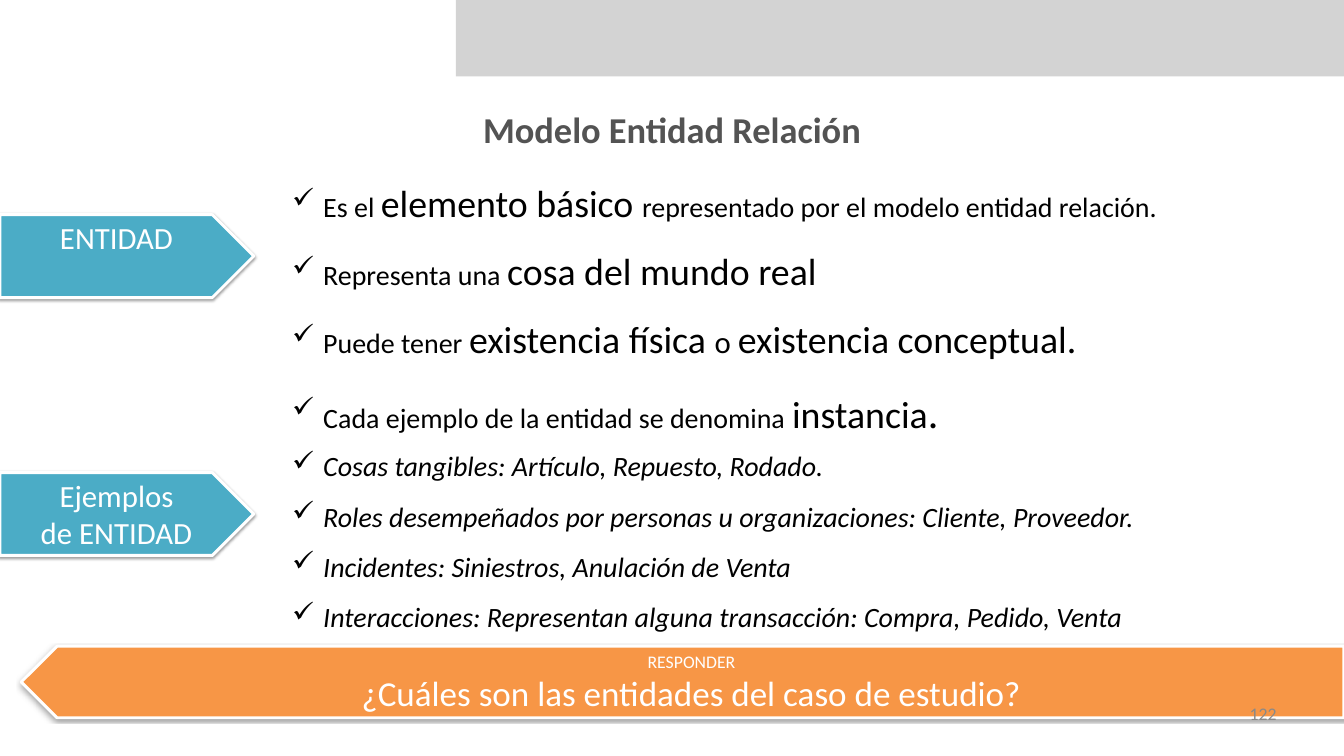
from lxml.etree import SubElement
from pptx import Presentation
from pptx.dml.color import RGBColor
from pptx.enum.shapes import MSO_SHAPE
from pptx.enum.text import MSO_ANCHOR, PP_ALIGN
from pptx.oxml.ns import qn
from pptx.util import Inches, Pt

COLORS = {
    "band": "D3D3D3",
    "title": "535353",
    "text": "000000",
    "label": "4BACC6",
    "question": "F79646",
    "white": "FFFFFF",
    "number": "898989",
}
BODY, KEY, LABEL, QUESTION = 28.4, 38.4, 31.3, 35.6
FONT = "Calibri"


class SlideBuilder:
    def __init__(self, slide):
        self.s = slide

    def color(self, name):
        return RGBColor.from_string(COLORS[name])

    def fill_text(self, sp, paragraphs, color, align, anchor=MSO_ANCHOR.MIDDLE,
                  inset=0.06, bullets=False, **style):
        tf = sp.text_frame
        margin = Inches(inset)
        frame = {"word_wrap": True, "vertical_anchor": anchor,
                 "margin_left": margin, "margin_right": margin,
                 "margin_top": margin, "margin_bottom": margin}
        for name, value in frame.items():
            setattr(tf, name, value)
        for i, runs in enumerate(paragraphs):
            p = tf.add_paragraph() if i else tf.paragraphs[0]
            p.alignment = align
            if bullets:
                self.bullet(p)
            for text, size in runs:
                r = p.add_run()
                r.text = text
                font = {"name": FONT, "size": Pt(size), **style}
                for name, value in font.items():
                    setattr(r.font, name, value)
                r.font.color.rgb = self.color(color)

    def bullet(self, p):
        pPr = p._p.get_or_add_pPr()
        indent = Inches(0.44)
        pPr.set("marL", str(indent))
        pPr.set("indent", str(-indent))
        SubElement(pPr, qn("a:buChar"), char="✓")
        p.line_spacing = 1.5

    def text(self, box, paragraphs, color="text", align=PP_ALIGN.LEFT, **fmt):
        sp = self.s.shapes.add_textbox(*map(Inches, box))
        self.fill_text(sp, paragraphs, color, align, **fmt)

    def shape(self, kind, box, fill):
        sp = self.s.shapes.add_shape(kind, *map(Inches, box))
        sp.shadow.inherit = False
        sp.fill.solid()
        sp.fill.fore_color.rgb = self.color(fill)
        sp.line.fill.background()
        return sp

    def arrow(self, box, paragraphs, fill, flip=False, **fmt):
        sp = self.shape(MSO_SHAPE.PENTAGON, box, fill)
        sp.line.color.rgb = self.color("white")
        sp.line.width = Pt(3)
        spPr = sp.element.spPr
        if flip:
            spPr.find(qn("a:xfrm")).set("flipH", "1")
        shadow = SubElement(spPr.find(qn("a:effectLst")), qn("a:outerShdw"),
                            blurRad=str(Pt(3.1)), dist=str(Pt(1.6)),
                            dir="5400000", rotWithShape="0")
        black = SubElement(shadow, qn("a:srgbClr"), val=COLORS["text"])
        SubElement(black, qn("a:alpha"), val="38000")
        self.fill_text(sp, paragraphs, "white", PP_ALIGN.CENTER, **fmt)


def main():
    prs = Presentation()
    prs.slide_width, prs.slide_height = Inches(18.96), Inches(10.67)
    s = SlideBuilder(prs.slides.add_slide(prs.slide_layouts[6]))

    s.shape(MSO_SHAPE.RECTANGLE, (6.43, 0, 12.53, 1.08), "band")
    s.text((3.76, 1.45, 11.44, 0.73), [[("Modelo Entidad Relación", 37)]],
           "title", PP_ALIGN.CENTER, bold=True)

    definition = [
        [("Es el ", BODY), ("elemento básico ", KEY),
         ("representado por el modelo entidad relación.", BODY)],
        [("Representa una ", BODY), ("cosa del mundo real", KEY)],
        [("Puede tener ", BODY), ("existencia física ", KEY),
         ("o ", LABEL), ("existencia conceptual.", KEY)],
        [("Cada ejemplo de la entidad se denomina ", BODY),
         ("instancia", KEY), (".", 42.7)],
    ]
    s.text((4.06, 2.14, 14.47, 4.1), definition, bullets=True)

    examples = [
        "Cosas tangibles: Artículo, Repuesto, Rodado.",
        "Roles desempeñados por personas u organizaciones: Cliente, Proveedor.",
        "Incidentes: Siniestros, Anulación de Venta",
        "Interacciones: Representan alguna transacción: Compra, Pedido, Venta",
    ]
    s.text((4.06, 6.04, 13.51, 3.58), [[(t, BODY)] for t in examples],
           anchor=MSO_ANCHOR.TOP, bullets=True, italic=True)

    labels = [(3.03, ["ENTIDAD"], MSO_ANCHOR.TOP),
              (6.67, ["Ejemplos", "de ENTIDAD"], MSO_ANCHOR.MIDDLE)]
    for top, lines, anchor in labels:
        s.arrow((0, top, 3.58, 1.17), [[(t, LABEL)] for t in lines], "label",
                anchor=anchor)

    s.arrow((0.3, 9.12, 18.66, 1.01),
            [[("RESPONDER", 18)],
             [("¿Cuáles son las entidades del caso de estudio?", QUESTION)]],
            "question", flip=True)
    s.text((13.65, 9.92, 4.36, 0.3), [[("122", 18)]], "number",
           PP_ALIGN.RIGHT, anchor=MSO_ANCHOR.TOP, inset=0)

    prs.save("out.pptx")


if __name__ == "__main__":
    main()
